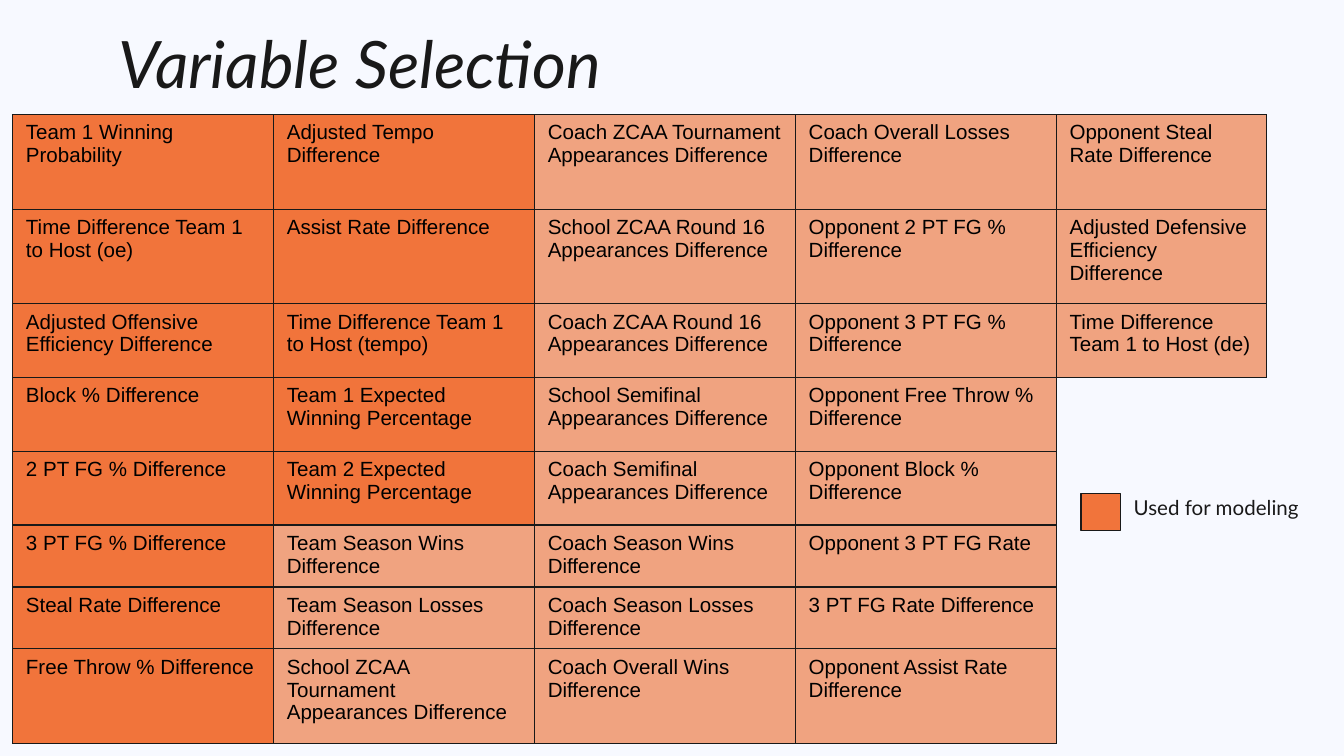
from lxml import etree
from pptx import Presentation
from pptx.dml.color import RGBColor
from pptx.enum.shapes import MSO_SHAPE
from pptx.enum.text import MSO_ANCHOR, MSO_AUTO_SIZE, PP_ALIGN
from pptx.oxml.ns import qn
from pptx.util import Pt

INK, USED, UNUSED, PAPER = "191919", "F1743B", "F0A380", "F7F9FF"
NO_STYLE = "{2D5ABB26-0587-4C30-8999-92F81FD0307C}"

# Variables by column; the first USED_COUNT, read down the columns, are modeled
USED_COUNT = 13
VARIABLES = [
    ["Team 1 Winning Probability", "Time Difference Team 1 to Host (oe)",
     "Adjusted Offensive Efficiency Difference", "Block % Difference",
     "2 PT FG % Difference", "3 PT FG % Difference",
     "Steal Rate Difference", "Free Throw % Difference"],
    ["Adjusted Tempo Difference", "Assist Rate Difference",
     "Time Difference Team 1 to Host (tempo)",
     "Team 1 Expected Winning Percentage",
     "Team 2 Expected Winning Percentage", "Team Season Wins Difference",
     "Team Season Losses Difference",
     "School ZCAA Tournament Appearances Difference"],
    ["Coach ZCAA Tournament Appearances Difference",
     "School ZCAA Round 16 Appearances Difference",
     "Coach ZCAA Round 16 Appearances Difference",
     "School Semifinal Appearances Difference",
     "Coach Semifinal Appearances Difference",
     "Coach Season Wins Difference", "Coach Season Losses Difference",
     "Coach Overall Wins Difference"],
    ["Coach Overall Losses Difference", "Opponent 2 PT FG % Difference",
     "Opponent 3 PT FG % Difference", "Opponent Free Throw % Difference",
     "Opponent Block % Difference", "Opponent 3 PT FG Rate",
     "3 PT FG Rate Difference", "Opponent Assist Rate Difference"],
    ["Opponent Steal Rate Difference",
     "Adjusted Defensive Efficiency Difference",
     "Time Difference Team 1 to Host (de)"],
]
COL_WIDTHS = [139.8] * 4 + [112.8]
ROW_HEIGHTS = [50.7] * 2 + [39.5] * 3 + [33.2] * 2 + [50.7]


def rgb(value):
    return RGBColor.from_string(value)


def set_font(p, name, size, color, italic=None):
    p.font.name, p.font.size, p.font.italic = name, Pt(size), italic
    p.font.color.rgb = rgb(color)


def set_insets(tf, inset):
    tf.margin_left = tf.margin_right = Pt(inset)
    tf.margin_top = tf.margin_bottom = Pt(inset)


def set_borders(cell, visible):
    """Draw the sides named in visible (of L, R, T, B) and clear the others."""
    tcPr = cell._tc.get_or_add_tcPr()
    for i, side in enumerate("LRTB"):
        ln = etree.Element(qn(f"a:ln{side}"), w=str(Pt(0.75)))
        if side in visible:
            fill = etree.SubElement(ln, qn("a:solidFill"))
            etree.SubElement(fill, qn("a:srgbClr"), val=INK)
        else:
            etree.SubElement(ln, qn("a:noFill"))
        tcPr.insert(i, ln)


def add_title(s, text, x, y, w, h):
    title = s.shapes.title
    title.left, title.top, title.width, title.height = Pt(x), Pt(y), Pt(w), Pt(h)
    tf = title.text_frame
    tf.text = text
    tf.auto_size = MSO_AUTO_SIZE.NONE
    tf.vertical_anchor = MSO_ANCHOR.TOP
    set_insets(tf, 7.2)
    p = tf.paragraphs[0]
    p.alignment, p.line_spacing = PP_ALIGN.LEFT, 0.8
    set_font(p, "Lato", 35, INK, italic=True)


def add_variable_table(s, x, y):
    n_rows, n_cols = len(ROW_HEIGHTS), len(COL_WIDTHS)
    table = s.shapes.add_table(n_rows, n_cols, Pt(x), Pt(y),
                               Pt(sum(COL_WIDTHS)), Pt(sum(ROW_HEIGHTS))).table
    table._tbl.tblPr.find(qn("a:tableStyleId")).text = NO_STYLE
    table.first_row = table.horz_banding = False
    for col, width in zip(table.columns, COL_WIDTHS):
        col.width = Pt(width)
    for row, height in zip(table.rows, ROW_HEIGHTS):
        row.height = Pt(height)

    # Filled cells
    for c, names in enumerate(VARIABLES):
        for r, name in enumerate(names):
            cell = table.cell(r, c)
            cell.text = name
            set_font(cell.text_frame.paragraphs[0], "Arial", 11, "000000")
            cell.fill.solid()
            used = c * n_rows + r < USED_COUNT
            cell.fill.fore_color.rgb = rgb(USED if used else UNUSED)
            set_borders(cell, "LRTB")

    # Open area under the short last column
    first = len(VARIABLES[-1])
    for r in range(first, n_rows):
        cell = table.cell(r, n_cols - 1)
        cell.fill.background()
        set_borders(cell, "LT" if r == first else "L")
    table.cell(first, n_cols - 1).merge(table.cell(n_rows - 1, n_cols - 1))


def add_legend(s, text, x, y, w, h):
    # Colour key
    key_w, key_h = 21, 20
    key = s.shapes.add_shape(MSO_SHAPE.FLOWCHART_PROCESS, Pt(x),
                             Pt(y + (h - key_h) / 2), Pt(key_w), Pt(key_h))
    key.shadow.inherit = False
    key.fill.solid()
    key.fill.fore_color.rgb = rgb(USED)
    key.line.color.rgb = rgb(INK)
    key.line.width = Pt(0.75)

    # Label
    label = s.shapes.add_textbox(Pt(x + key_w), Pt(y), Pt(w - key_w), Pt(h))
    tf = label.text_frame
    tf.word_wrap = True
    set_insets(tf, 7.2)
    tf.text = text
    set_font(tf.paragraphs[0], "Lato", 11, INK)


def main():
    prs = Presentation()
    prs.slide_width, prs.slide_height = Pt(720), Pt(405)
    s = prs.slides.add_slide(prs.slide_layouts[0])
    s.background.fill.solid()
    s.background.fill.fore_color.rgb = rgb(PAPER)
    subtitle = s.placeholders[1]._element
    subtitle.getparent().remove(subtitle)

    add_title(s, "Variable Selection", 56.3, 13.5, 608, 54)
    add_variable_table(s, 6.7, 61.4)
    add_legend(s, "Used for modeling", 579.2, 258.8, 127, 31)
    prs.save("out.pptx")


if __name__ == "__main__":
    main()
